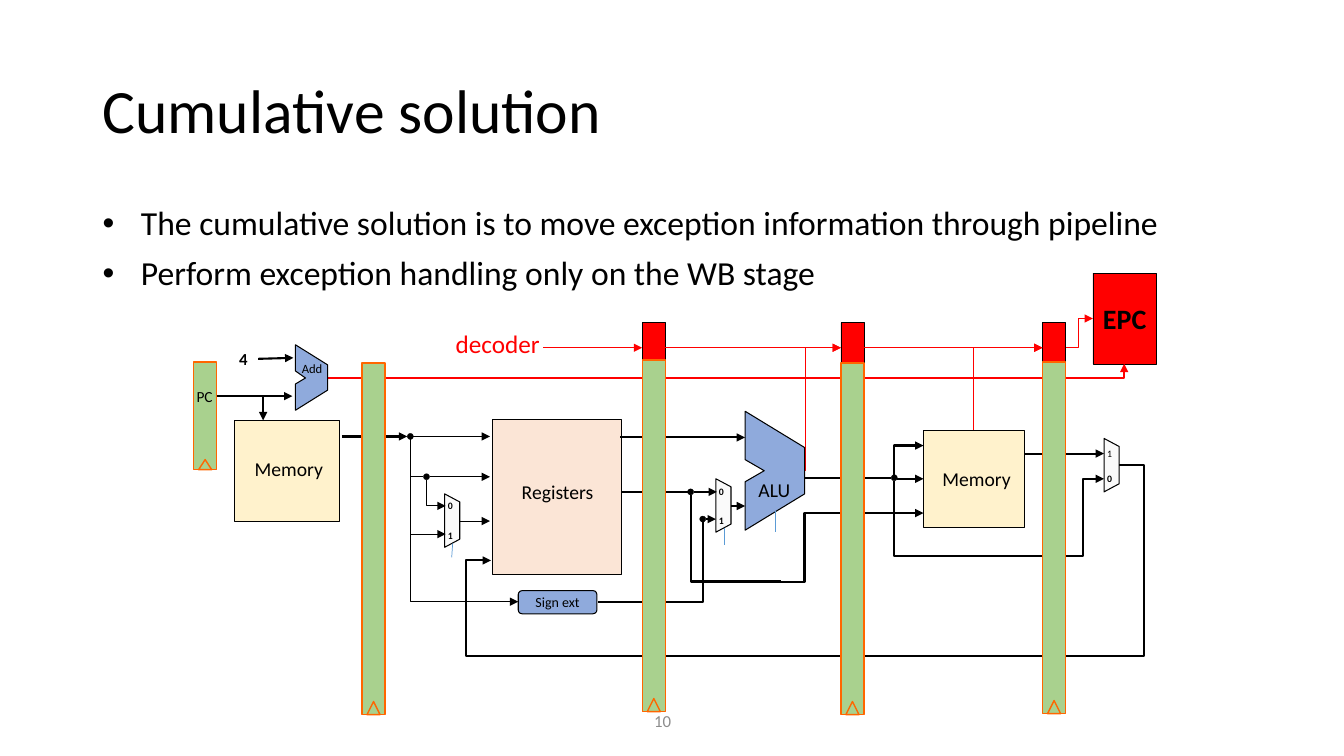
from dataclasses import dataclass

import pptx
import pptx.dml.color
import pptx.enum.shapes
import pptx.enum.text
import pptx.oxml
import pptx.oxml.ns
import pptx.util

PX = 9144  # 100 px to the inch
FONT = "Calibri"
COLOURS = {
    "black": "000000", "red": "FF0000", "grey": "8C8C8C", "orange": "FF6600",
    "green": "A9D18E", "blue": "8FAADC", "select": "5B9BD5",
    "mux": "FAFAFA", "registers": "FBE5D6", "memory": "FFF2CC",
}
SHAPES = pptx.enum.shapes.MSO_SHAPE
CONNECTORS = pptx.enum.shapes.MSO_CONNECTOR
ALIGN = pptx.enum.text.PP_ALIGN
ANCHOR = pptx.enum.text.MSO_ANCHOR
LEFT_SIDE, RIGHT_SIDE = 1, 3
Point = tuple[int, int]
Box = tuple[int, int, int, int]


@dataclass
class Wire:
    points: list[Point]
    width: float = 1.5
    colour: str = "black"
    arrow: bool = True


@dataclass
class Label:
    text: str
    box: Box
    size: float
    colour: str = "black"
    bold: bool = False
    align: int = ALIGN.CENTER
    anchor: int = ANCHOR.TOP
    inset: bool = False
    wrap: bool = False


@dataclass
class Mux:
    left: int
    top: int
    inputs: list[tuple[str, int, bool]]  # text, top, bold


@dataclass
class Register:
    left: int
    top: int
    height: int = 349
    clock: int = 13


def rgb(name: str) -> pptx.dml.color.RGBColor:
    return pptx.dml.color.RGBColor.from_string(COLOURS[name])


def add_run(paragraph, text: str, size: float, colour: str = "black", bold: bool = False) -> None:
    run = paragraph.add_run()
    run.text = text
    run.font.name = FONT
    run.font.size = pptx.util.Pt(size)
    run.font.bold = bold
    run.font.color.rgb = rgb(colour)


def paint(shape, fill: str, line: str = "black", width: float = 0.75) -> None:
    shape.shadow.inherit = False
    shape.fill.solid()
    shape.fill.fore_color.rgb = rgb(fill)
    shape.line.color.rgb = rgb(line)
    shape.line.width = pptx.util.Pt(width)


def draw_shape(slide, kind, box: Box, fill: str, line: str = "black", width: float = 0.75):
    shape = slide.shapes.add_shape(kind, *(v * PX for v in box))
    paint(shape, fill, line, width)
    return shape


def draw_label(slide, label: Label):
    box = slide.shapes.add_textbox(*(v * PX for v in label.box))
    frame = box.text_frame
    frame.word_wrap = label.wrap
    frame.vertical_anchor = label.anchor
    if not label.inset:
        frame.margin_left = frame.margin_right = frame.margin_top = frame.margin_bottom = 0
    paragraph = frame.paragraphs[0]
    paragraph.alignment = label.align
    add_run(paragraph, label.text, label.size, label.colour, label.bold)
    return box


def write_inside(shape, text: str, size: float, bold: bool = False) -> None:
    shape.text_frame.word_wrap = False
    shape.text_frame.vertical_anchor = ANCHOR.MIDDLE
    paragraph = shape.text_frame.paragraphs[0]
    paragraph.alignment = ALIGN.CENTER
    add_run(paragraph, text, size, bold=bold)


def draw_wire(slide, wire: Wire):
    """Draw a straight or right-angled wire; bent presets must leave horizontally."""
    points, head = wire.points, "a:tailEnd"
    bent = len(points) > 2
    if bent and points[0][0] == points[1][0]:
        points, head = points[::-1], "a:headEnd"
    (x0, y0), (x1, y1) = points[0], points[-1]
    kind = CONNECTORS.ELBOW if bent else CONNECTORS.STRAIGHT
    connector = slide.shapes.add_connector(kind, x0 * PX, y0 * PX, x1 * PX, y1 * PX)
    connector.line.color.rgb = rgb(wire.colour)
    connector.line.width = pptx.util.Pt(wire.width)
    properties = connector._element.spPr
    if bent:
        geometry = properties.find(pptx.oxml.ns.qn("a:prstGeom"))
        geometry.set("prst", f"bentConnector{len(points) - 1}")
        guides = geometry.find(pptx.oxml.ns.qn("a:avLst"))
        if guides is None:
            guides = pptx.oxml.ns.qn("a:avLst")
            guides = geometry.makeelement(guides)
            geometry.append(guides)
        for i, (x, y) in enumerate(points[1:-2], 1):
            share = (x - x0) / (x1 - x0) if i % 2 else (y - y0) / (y1 - y0)
            guide = guides.makeelement(pptx.oxml.ns.qn("a:gd"))
            guide.set("name", f"adj{i}")
            guide.set("fmla", f"val {round(share * 100000)}")
            guides.append(guide)
    if wire.arrow:
        line = connector.line._get_or_add_ln()
        line.append(line.makeelement(pptx.oxml.ns.qn(head), {"type": "triangle"}))
    properties.append(properties.makeelement(pptx.oxml.ns.qn("a:effectLst")))
    return connector


def draw_polygon(slide, corners: list[Point], fill: str) -> None:
    builder = slide.shapes.build_freeform(*corners[0], scale=PX)
    builder.add_line_segments(corners[1:], close=True)
    paint(builder.convert_to_shape(), fill)


def draw_mux(slide, mux: Mux) -> None:
    width, height = 15, 53
    box = (mux.left + (width - height) // 2, mux.top + (height - width) // 2, height, width)
    body = draw_shape(slide, SHAPES.TRAPEZOID, box, "mux")
    body.rotation = 90
    body.adjustments[0] = 0.535
    for text, top, bold in mux.inputs:
        draw_label(slide, Label(text, (mux.left + 1, top, 9, 12), 7, bold=bold))


def draw_register(slide, register: Register) -> None:
    left, bottom = register.left, register.top + register.height
    draw_shape(slide, SHAPES.RECTANGLE, (left, register.top, 23, register.height), "green", "orange", 1)
    clock = (left + 5, bottom - register.clock, 13, register.clock)
    draw_shape(slide, SHAPES.ISOSCELES_TRIANGLE, clock, "green", "orange", 1)


def draw_bullets(slide, box: Box, points: list[str]) -> None:
    frame = slide.shapes.add_textbox(*(v * PX for v in box)).text_frame
    frame.word_wrap = True
    for i, text in enumerate(points):
        paragraph = frame.add_paragraph() if i else frame.paragraphs[0]
        properties = paragraph._p.get_or_add_pPr()
        properties.set("marL", str(38 * PX))
        properties.set("indent", str(-38 * PX))
        for tag, key, value in (("a:buFont", "typeface", "Arial"), ("a:buChar", "char", "•")):
            properties.append(properties.makeelement(pptx.oxml.ns.qn(tag), {key: value}))
        paragraph.line_spacing = 0.9
        if i:
            paragraph.space_before = pptx.util.Pt(10)
        add_run(paragraph, text, 24)


def draw_exception_path(slide) -> None:
    flags = [draw_shape(slide, SHAPES.RECTANGLE, (x, 320, 23, 50), "red", width=0.25) for x in (637, 834, 1034)]
    epc = draw_shape(slide, SHAPES.RECTANGLE, (1084, 271, 63, 90), "red", width=0.25)
    write_inside(epc, "EPC", 20, bold=True)
    draw_label(slide, Label("decoder", (442, 321, 121, 40), 18, "red", align=ALIGN.LEFT, inset=True))
    for source, target, start in zip([None, *flags], flags, (539, 660, 857)):
        link = draw_wire(slide, Wire([(start, 345), (target.left // PX, 345)], 0.75, "red"))
        if source is not None:
            link.begin_connect(source, RIGHT_SIDE)
        link.end_connect(target, LEFT_SIDE)
    for wire in (
        Wire([(765, 467), (799, 467), (799, 345), (834, 345)], 0.75, "red"),
        Wire([(966, 428), (966, 345), (1034, 345)], 0.75, "red"),
        Wire([(307, 375), (1115, 375), (1115, 361)], 1.5, "red"),
        Wire([(1057, 345), (1070, 345), (1070, 316), (1084, 316)], 0.75, "red"),
    ):
        draw_wire(slide, wire)


WIRES = [
    Wire([(339, 433), (404, 433)]), Wire([(615, 434), (739, 434)]),
    Wire([(1110, 461), (1134, 461), (1134, 651), (462, 651), (462, 556), (487, 556)]),
    Wire([(410, 433), (486, 433)], 0.75), Wire([(407, 436), (407, 473), (420, 473)], 0.75, arrow=False),
    Wire([(407, 436), (407, 530), (442, 530)], 0.75), Wire([(423, 476), (423, 502), (442, 502)], 0.75),
    Wire([(456, 517), (486, 517)], 0.75), Wire([(407, 436), (407, 597), (514, 597)], 0.75),
    Wire([(426, 473), (486, 473)], 0.75), Wire([(725, 502), (739, 502)]),
    Wire([(593, 597), (697, 597), (697, 518)], arrow=False), Wire([(1016, 450), (1095, 450)]),
    Wire([(798, 474), (884, 474)], arrow=False), Wire([(685, 491), (685, 577), (775, 577)], arrow=False),
    Wire([(775, 577), (798, 577), (798, 509), (916, 509)]),
    Wire([(887, 477), (887, 551), (1074, 551), (1074, 475), (1095, 475)]),
    Wire([(700, 515), (710, 515)]), Wire([(887, 471), (887, 442), (916, 442)]),
    Wire([(688, 488), (711, 488)]), Wire([(616, 488), (682, 488)], arrow=False),
    Wire([(769, 507), (769, 528)], 0.5, "select", False), Wire([(718, 524), (718, 541)], 0.5, "select", False),
    Wire([(449, 539), (448, 553)], 0.5, "select", False),
]
FETCH_WIRES = [Wire([(215, 393), (261, 393), (261, 417)]), Wire([(257, 393), (290, 393)]),
               Wire([(256, 356), (291, 355)])]
JUNCTIONS = [(404, 430), (420, 470), (682, 485), (884, 471), (694, 512)]
MUXES = [
    Mux(441, 490, [("0", 496, True), ("1", 525, True)]),
    Mux(710, 475, [("0", 482, True), ("1", 511, True)]),
    Mux(1095, 435, [("1", 444, False), ("0", 469, True)]),
]
REGISTERS = [Register(359, 360), Register(637, 357), Register(834, 360), Register(1034, 359),
             Register(192, 359, 107, 10)]
BLOCKS = [((488, 416, 128, 154), "registers"), ((916, 427, 100, 96), "memory"), ((233, 417, 104, 100), "memory")]
ALU = [(739, 408), (739, 456), (758, 467), (739, 478), (739, 526), (798, 490), (798, 444)]
ADDER = [(293, 342), (293, 368), (303, 375), (293, 381), (293, 407), (325, 387), (325, 362)]
LABELS = [
    Label("Registers", (507, 471, 92, 34), 14, inset=True), Label("ALU", (749, 474, 38, 24), 14),
    Label("Memory", (924, 458, 89, 34), 14, inset=True), Label("Memory", (242, 448, 89, 34), 14, inset=True),
    Label("PC", (191, 384, 24, 19), 11), Label("Add", (298, 358, 23, 15), 9, anchor=ANCHOR.MIDDLE),
    Label("4", (227, 341, 29, 30), 12, bold=True, anchor=ANCHOR.MIDDLE, inset=True),
]


def draw_datapath(slide) -> None:
    _, data_memory, _ = [draw_shape(slide, SHAPES.RECTANGLE, box, fill) for box, fill in BLOCKS]
    draw_polygon(slide, ALU, "blue")
    sign_ext = draw_shape(slide, SHAPES.ROUNDED_RECTANGLE, (514, 586, 78, 23), "blue")
    write_inside(sign_ext, "Sign ext", 10)
    for mux in MUXES:
        draw_mux(slide, mux)
    for wire in WIRES:
        draw_wire(slide, wire)
    draw_wire(slide, Wire([(890, 475), (916, 475)])).end_connect(data_memory, LEFT_SIDE)
    for x, y in JUNCTIONS:
        draw_shape(slide, SHAPES.OVAL, (x, y, 6, 6), "black", width=0.25)
    for register in REGISTERS:
        draw_register(slide, register)
    draw_polygon(slide, ADDER, "blue")
    for wire in FETCH_WIRES:
        draw_wire(slide, wire)
    for label in LABELS:
        draw_label(slide, label)


def main() -> None:
    deck = pptx.Presentation()
    deck.slide_width, deck.slide_height = 1333 * PX, 750 * PX
    slide = deck.slides.add_slide(deck.slide_layouts[6])
    draw_label(slide, Label("10", (639, 695, 79, 40), 12, "grey", align=ALIGN.LEFT, anchor=ANCHOR.MIDDLE, inset=True))
    title = Label("Cumulative solution", (92, 40, 1150, 145), 44, align=ALIGN.LEFT,
                  anchor=ANCHOR.MIDDLE, inset=True, wrap=True)
    draw_label(slide, title).text_frame.paragraphs[0].line_spacing = 0.9
    draw_bullets(slide, (92, 200, 1150, 452), [
        "The cumulative solution is to move exception information through pipeline",
        "Perform exception handling only on the WB stage",
    ])
    draw_exception_path(slide)
    draw_datapath(slide)
    deck.save("out.pptx")


if __name__ == "__main__":
    main()
